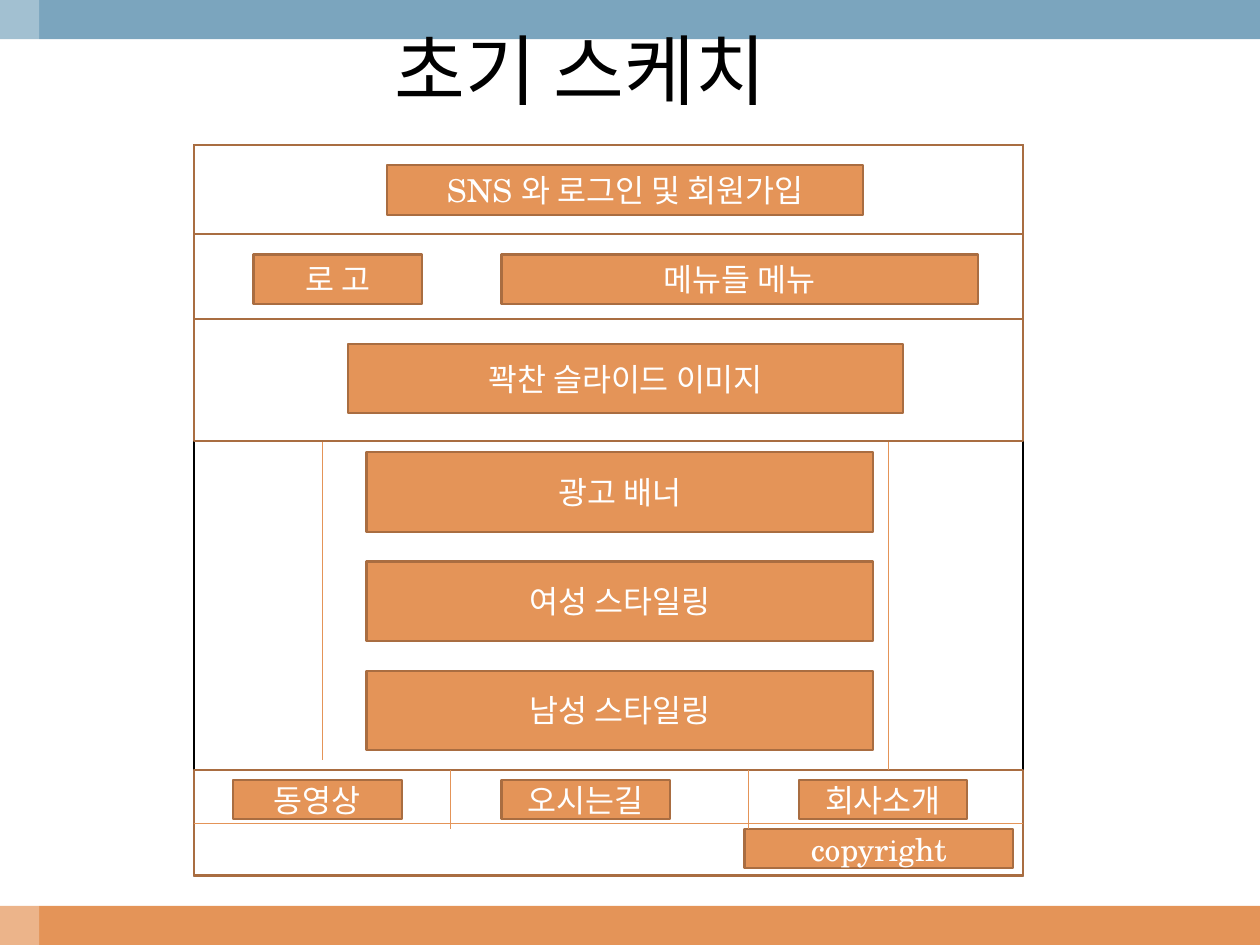
from dataclasses import dataclass
from lxml import etree
from pptx import Presentation
from pptx import util as u
from pptx.dml.color import RGBColor
from pptx.enum import shapes as sh, text as tx
from pptx.oxml import ns


@dataclass(frozen=True)
class Theme:
    white: str = "FFFFFF"
    black: str = "000000"
    blue: str = "7BA5BE"
    orange: str = "E49458"
    brown: str = "A96D41"
    font: str = "TeX Gyre Schola"
    title: int = 44
    label: int = 18
    edge: float = 1.25
    thin: float = 0.5


T = Theme()
LEFT, TOP, WIDE = 3.91, 2.92, 16.71
FOOT = 15.52


def cms(*vals):
    return [u.Cm(v) for v in vals]


def apply(item, vals):
    for key, val in vals.items():
        setattr(item, key, val)


def style(run, size, color):
    apply(run.font, {"name": T.font, "size": u.Pt(size), "bold": False})
    run.font.color.rgb = RGBColor.from_string(color)


def add_rect(host, place, fill, line=None):
    rect = host.add_shape(sh.MSO_SHAPE.RECTANGLE, *cms(*place))
    rect.shadow.inherit = False
    rect.fill.solid()
    rect.fill.fore_color.rgb = RGBColor.from_string(fill)
    if line:
        rect.line.color.rgb = RGBColor.from_string(line)
        rect.line.width = u.Pt(T.edge)
    else:
        rect.line.fill.background()
    return rect


def add_label(host, words, *place):
    frame = add_rect(host, place, T.orange, T.brown).text_frame
    apply(frame, {"word_wrap": True, "vertical_anchor": tx.MSO_ANCHOR.MIDDLE})
    para = frame.paragraphs[0]
    para.alignment = tx.PP_ALIGN.CENTER
    run = para.add_run()
    run.text = words
    style(run, T.label, T.white)


def add_rule(host, *ends):
    rule = host.add_connector(sh.MSO_CONNECTOR.STRAIGHT, *cms(*ends))
    rule.line.color.rgb = RGBColor.from_string(T.orange)
    rule.line.width = u.Pt(T.thin)
    etree.SubElement(rule._element.spPr, ns.qn("a:effectLst"))


def add_bars(host):
    add_rect(host, (0, 18.26, 25.4, 0.79), T.orange)
    add_rect(host, (0, 0, 25.4, 0.79), T.blue)
    strip = add_rect(host, (0, 0, 0.79, 19.05), T.white)
    color = strip._element.spPr.find(".//" + ns.qn("a:srgbClr"))
    etree.SubElement(color, ns.qn("a:alpha"), val="30000")


def add_page(host):
    page = host.add_group_shape().shapes
    add_rect(page, (LEFT, TOP, WIDE, 14.73), T.white, T.black)
    for high in (3.51, 1.8):
        add_rect(page, (LEFT, TOP, WIDE, high), T.white, T.brown)
    add_rect(page, (6.99, 8.89, 10.92, 6.63), T.white, T.white)
    for top, high in ((6.43, 2.46), (FOOT, 2.13)):
        add_rect(page, (LEFT, top, WIDE, high), T.white, T.brown)


def add_body(host):
    add_label(host, "copyright", 15.01, 16.71, 5.41, 0.79)
    for i, words in enumerate(("광고 배너", "여성 스타일링", "남성 스타일링")):
        add_label(host, words, 7.39, 9.12 + 2.2 * i, 10.21, 1.6)
    add_label(host, "꽉찬 슬라이드 이미지", 7.01, 6.93, 11.2, 1.4)
    add_label(host, "SNS 와 로그인 및 회원가입", 7.8, 3.33, 9.6, 1)
    add_label(host, "메뉴들 메뉴", 10.11, 5.13, 9.6, 1)
    add_label(host, "로 고", 5.11, 5.13, 3.4, 1)
    for x, end in ((17.91, FOOT), (6.5, 15.32)):
        add_rule(host, x, 8.92, x, end)


def add_foot(host):
    add_rule(host, LEFT, 16.59, LEFT + WIDE, 16.59)
    for x in (9.09, 15.09):
        add_rule(host, x, FOOT, x, 16.71)
    for x, words in ((4.7, "동영상"), (10.11, "오시는길"), (16.1, "회사소개")):
        add_label(host, words, x, 15.72, 3.4, 0.8)


def set_title(slide, words):
    title = slide.shapes.title
    left, top, width, height = cms(7.7, 0.33, 8.89, 2.13)
    apply(title, {"left": left, "top": top, "width": width, "height": height})
    frame = title.text_frame
    apply(frame, {"word_wrap": False, "vertical_anchor": tx.MSO_ANCHOR.TOP,
                  "auto_size": tx.MSO_AUTO_SIZE.SHAPE_TO_FIT_TEXT})
    para = frame.paragraphs[0]
    para.alignment = tx.PP_ALIGN.LEFT
    run = para.add_run()
    run.text = words
    style(run, T.title, T.black)
    title._element.getparent().append(title._element)


def main():
    deck = Presentation()
    apply(deck, {"slide_width": u.Cm(25.4), "slide_height": u.Cm(19.05)})
    slide = deck.slides.add_slide(deck.slide_layouts[5])
    for draw in (add_bars, add_page, add_body, add_foot):
        draw(slide.shapes)
    set_title(slide, "초기 스케치")
    deck.save("out.pptx")


if __name__ == "__main__":
    main()
